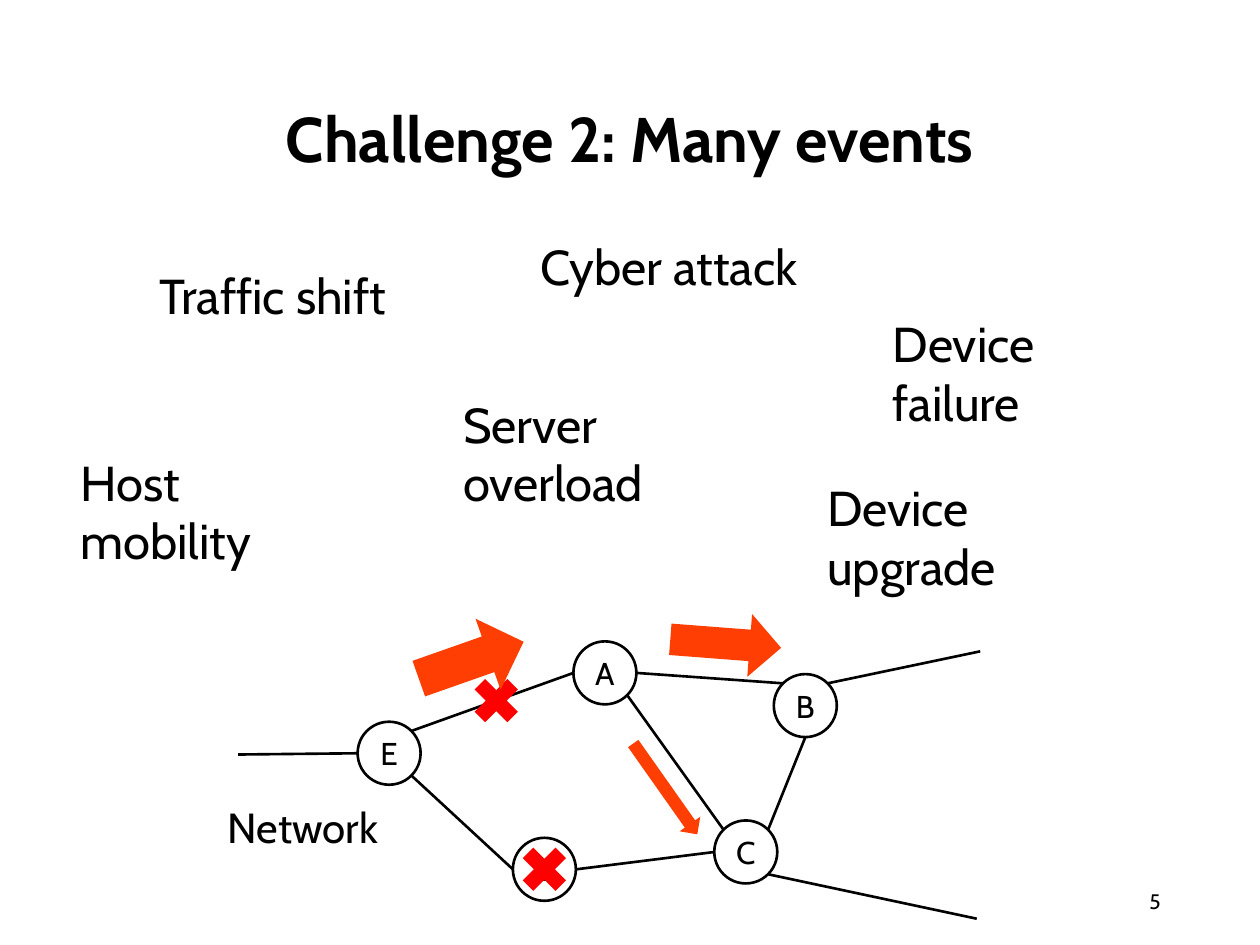
"""Build the "Challenge 2: Many events" slide with its network sketch."""
from math import cos, radians, sin

from lxml.etree import SubElement
from pptx import Presentation
from pptx.dml.color import RGBColor
from pptx.enum.shapes import MSO_CONNECTOR as Connector, MSO_SHAPE as Shape
from pptx.enum.text import MSO_ANCHOR as Anchor, PP_ALIGN as Align
from pptx.oxml.ns import qn
from pptx.util import Cm, Pt

BLACK = RGBColor(0x00, 0x00, 0x00)
RED = RGBColor(0xFF, 0x00, 0x00)
ORANGE = RGBColor(0xFE, 0x3E, 0x02)

NODE_SIZE = 1.27
NODES = {
    "E": (7.21, 14.55),
    "A": (11.56, 12.93),
    "D": (10.34, 16.89),
    "B": (15.6, 13.59),
    "C": (14.4, 16.54),
}
LINKS = [
    (("D", 180), ("E", 45)),
    (("C", 180), ("D", 0)),
    (("B", 90), ("C", -45)),
    (("A", 180), ("E", -45)),
    (("B", -135), ("A", 0)),
    (("A", 45), ("C", -135)),
]
OUTSIDE_LINKS = [
    (("E", 180), (4.8, 15.21)),
    (("B", -45), (19.76, 13.13)),
    (("C", 45), (19.69, 18.52)),
]
ARROWS = [
    (8.38, 12.55, 1.52, 340.6),
    (12.29, 15.65, 0.51, 54.8),
    (13.51, 12.34, 1.27, 4.4),
]
EVENTS = [
    ("Traffic shift", 2.97, 5.23, 5.16, False),
    ("Host mobility", 1.37, 8.99, 5.95, True),
    ("Cyber attack", 10.64, 4.65, 5.69, False),
    ("Device failure", 17.75, 6.2, 5.95, True),
    ("Server overload", 9.09, 7.82, 6.85, True),
    ("Device upgrade", 16.43, 9.5, 6.8, True),
]


class Sketch:
    """Hold the style and the current slide."""

    font_name = "Cabin"
    line_width = Pt(1.5)

    def __init__(self, page):
        self.shapes = page.shapes

    def label(self, frame, text, size, align, bold=False):
        frame.text = text
        para = frame.paragraphs[0]
        para.alignment = align
        for span in para.runs:
            span.font.name = self.font_name
            span.font.size = Pt(size)
            span.font.bold = bold
            span.font.color.rgb = BLACK
        return para

    def text(self, text, left, top, width, height, size, align=Align.LEFT,
             anchor=Anchor.TOP, wrap=True, bold=False):
        box = self.shapes.add_textbox(Cm(left), Cm(top), Cm(width), Cm(height))
        box.text_frame.word_wrap = wrap
        box.text_frame.vertical_anchor = anchor
        return self.label(box.text_frame, text, size, align, bold)

    def node(self, name):
        left, top = NODES[name]
        circle = self.shapes.add_shape(
            Shape.OVAL, Cm(left), Cm(top), Cm(NODE_SIZE), Cm(NODE_SIZE))
        circle.shadow.inherit = False
        circle.fill.background()
        circle.line.color.rgb = BLACK
        circle.line.width = self.line_width
        circle.text_frame.word_wrap = False
        circle.text_frame.vertical_anchor = Anchor.MIDDLE
        self.label(circle.text_frame, name, 18, Align.CENTER)

    def rim(self, name, angle):
        left, top = NODES[name]
        radius = NODE_SIZE / 2
        return (left + radius * (1 + cos(radians(angle))),
                top + radius * (1 + sin(radians(angle))))

    def link(self, start, end):
        line = self.shapes.add_connector(
            Connector.STRAIGHT, *(Cm(value) for value in (*start, *end)))
        line.line.color.rgb = BLACK
        line.line.width = self.line_width
        SubElement(line._element.spPr, qn("a:effectLst"))

    def mark(self, kind, left, top, width, height, color, rotation=0):
        mark = self.shapes.add_shape(
            kind, Cm(left), Cm(top), Cm(width), Cm(height))
        mark.shadow.inherit = False
        mark.fill.solid()
        mark.fill.fore_color.rgb = color
        mark.line.fill.background()
        mark.rotation = rotation


def main():
    deck = Presentation()
    deck.slide_width, deck.slide_height = Cm(25.4), Cm(19.05)
    sketch = Sketch(deck.slides.add_slide(deck.slide_layouts[6]))

    title = sketch.text("Challenge 2: Many events", 1.75, 1.02, 21.89, 3.68,
                        36, Align.CENTER, Anchor.MIDDLE, bold=True)
    title.line_spacing = 0.9
    sketch.text("5", 17.93, 17.65, 5.72, 1.02, 12, Align.RIGHT, Anchor.MIDDLE)

    for name in NODES:
        sketch.node(name)
    for start, end in LINKS:
        sketch.link(sketch.rim(*start), sketch.rim(*end))
    for start, point in OUTSIDE_LINKS:
        sketch.link(sketch.rim(*start), point)
    sketch.text("Network", 4.34, 16.03, 3.61, 1.27, 24, wrap=False)

    for left, top in ((9.37, 13.49), NODES["D"]):
        sketch.mark(Shape.MATH_MULTIPLY, left, top, NODE_SIZE, NODE_SIZE, RED)
    for left, top, height, rotation in ARROWS:
        sketch.mark(Shape.RIGHT_ARROW, left, top, 2.24, height, ORANGE, rotation)
    for event, left, top, width, wrap in EVENTS:
        sketch.text(event, left, top, width, 1.45, 28, wrap=wrap)

    deck.save("out.pptx")


if __name__ == "__main__":
    main()
